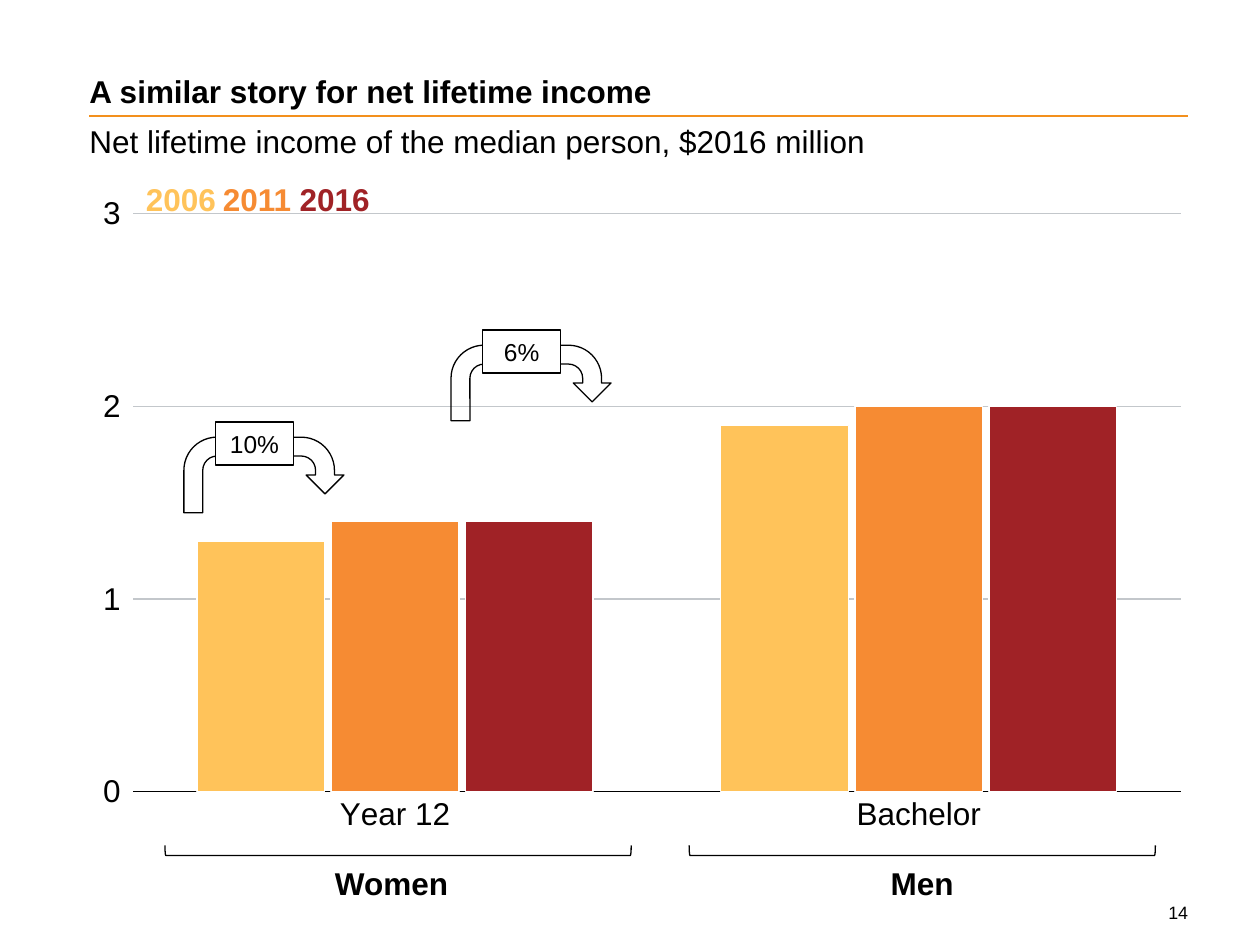
from lxml.etree import SubElement
from pptx import Presentation
from pptx.chart.data import CategoryChartData as ChartData
from pptx.dml.color import RGBColor
from pptx.enum.chart import XL_CHART_TYPE as Kind, XL_TICK_MARK as Tick
from pptx.enum.shapes import MSO_CONNECTOR as Link, MSO_SHAPE as Form
from pptx.enum.text import MSO_ANCHOR as Anchor, PP_ALIGN as Align
from pptx.oxml.ns import qn
from pptx.util import Inches, Pt

BLACK = RGBColor(0x00, 0x00, 0x00)
WHITE = RGBColor(0xFF, 0xFF, 0xFF)
GREY = RGBColor(0xC3, 0xC7, 0xCB)
RULE = RGBColor(0xF3, 0x90, 0x1D)
YELLOW = RGBColor(0xFF, 0xC3, 0x5A)
ORANGE = RGBColor(0xF6, 0x8B, 0x33)
RED = RGBColor(0xA0, 0x22, 0x26)


class Page:
    font = "Arial"
    size = 18
    thin = Pt(0.75)

    def __init__(self, slide):
        self.slide = slide

    def add_run(self, frame, words, size, color=BLACK, bold=False, align=Align.LEFT):
        para = frame.paragraphs[0]
        para.alignment = align
        run = para.add_run()
        run.text = words
        font = run.font
        font.name, font.size, font.bold = self.font, Pt(size), bold
        font.color.rgb = color

    def text(self, box, words, size=size, color=BLACK, bold=False,
             align=Align.LEFT, flush=False, wrap=False, anchor=Anchor.TOP):
        frame = self.slide.shapes.add_textbox(*map(Inches, box)).text_frame
        frame.word_wrap = wrap
        frame.vertical_anchor = anchor
        if flush:
            frame.margin_left = frame.margin_right = 0
            frame.margin_top = frame.margin_bottom = 0
        self.add_run(frame, words, size, color, bold, align)

    def shape(self, form, box, fill=None, turn=0):
        shape = self.slide.shapes.add_shape(form, *map(Inches, box))
        shape.shadow.inherit = False
        shape.rotation = turn
        if fill is None:
            shape.fill.background()
        else:
            shape.fill.solid()
            shape.fill.fore_color.rgb = fill
        shape.line.color.rgb = BLACK
        shape.line.width = self.thin
        return shape

    def line(self, left, right, top):
        line = self.slide.shapes.add_connector(
            Link.STRAIGHT, Inches(left), Inches(top), Inches(right), Inches(top))
        line.line.color.rgb = RULE
        line.line.width = Pt(1.5)
        SubElement(line._element.spPr, qn("a:effectLst"))

    def jump(self, left, top, words):
        """U-turn arrow with a label on its bend."""
        self.shape(Form.U_TURN_ARROW, (left, top, 1.27, 0.6))
        tag = self.shape(Form.RECTANGLE, (left + 0.25, top - 0.12, 0.62, 0.34), WHITE)
        self.add_run(tag.text_frame, words, 14, align=Align.CENTER)

    def chart(self, box, cats, rows, plot_box):
        data = ChartData()
        data.categories = cats
        for name, (vals, _) in rows.items():
            data.add_series(name, vals)
        chart = self.slide.shapes.add_chart(
            Kind.COLUMN_CLUSTERED, *map(Inches, box), data).chart
        chart.has_legend = chart.has_title = False
        chart.font.name, chart.font.size = self.font, Pt(self.size)
        chart.font.color.rgb = BLACK

        # Bars
        plot = chart.plots[0]
        plot.gap_width, plot.overlap = 100, -5
        plot.vary_by_categories = False
        for bars, (_, color) in zip(plot.series, rows.values()):
            bars.format.fill.solid()
            bars.format.fill.fore_color.rgb = color
            bars.format.line.color.rgb = WHITE
            bars.format.line.width = self.thin

        # Axes
        base, side = chart.category_axis, chart.value_axis
        base.major_tick_mark = Tick.NONE
        base.format.line.color.rgb = BLACK
        base.format.line.width = self.thin
        side.minimum_scale, side.maximum_scale, side.major_unit = 0, 3.2, 1
        side.major_tick_mark = Tick.OUTSIDE
        side.tick_labels.number_format = "0"
        side.tick_labels.number_format_is_linked = False
        side.format.line.fill.background()
        grid = side.major_gridlines.format.line
        grid.color.rgb, grid.width = GREY, self.thin

        # Fixed inner plot area, as shares of the chart
        area = chart._chartSpace.chart.plotArea
        for old in area.findall(qn("c:layout")):
            area.remove(old)
        frame = SubElement(area, qn("c:layout"))
        area.insert(0, frame)
        hand = SubElement(frame, qn("c:manualLayout"))
        parts = [("layoutTarget", "inner"), ("xMode", "edge"), ("yMode", "edge")]
        for tag, val in parts + list(zip("xywh", plot_box)):
            SubElement(hand, qn("c:" + tag)).set("val", str(val))


def main():
    deck = Presentation()
    deck.slide_width, deck.slide_height = Inches(10), Inches(7.5)
    page = Page(deck.slides.add_slide(deck.slide_layouts[6]))

    # Heading and page number
    page.line(0.71, 9.43, 0.92)
    page.text((9.26, 7.16, 0.17, 0.17), "14", 10.2, align=Align.RIGHT, flush=True)
    page.text((0.71, 0.57, 6.98, 0.3), "A similar story for net lifetime income",
              bold=True, flush=True, wrap=True, anchor=Anchor.BOTTOM)
    page.text((0.71, 0.97, 8.73, 0.31),
              "Net lifetime income of the median person, $2016 million",
              flush=True, wrap=True)

    # Chart
    rows = {"2006": ((1.3, 1.9), YELLOW),
            "2011": ((1.4, 2.0), ORANGE),
            "2016": ((1.4, 2.0), RED)}
    page.chart((0.61, 1.28, 8.94, 5.44), ("Year 12", "Bachelor"), rows,
               (0.05, 0.02, 0.93, 0.9))

    # Group names and brackets
    for name, left, width, mid in (("Women", 2.56, 1.11, 3.16), ("Men", 6.97, 0.71, 7.32)):
        page.text((left, 6.81, width, 0.4), name, bold=True)
        page.shape(Form.LEFT_BRACKET, (mid - 0.04, 4.9, 0.08, 3.7), turn=270)

    # Colour key
    for i, (name, (_, color)) in enumerate(rows.items()):
        page.text((1.06 + 0.61 * i, 1.38, 0.76, 0.4), name, color=color, bold=True)

    # Growth arrows
    page.jump(3.58, 2.74, "6%")
    page.jump(1.46, 3.47, "10%")

    deck.save("out.pptx")


if __name__ == "__main__":
    main()
